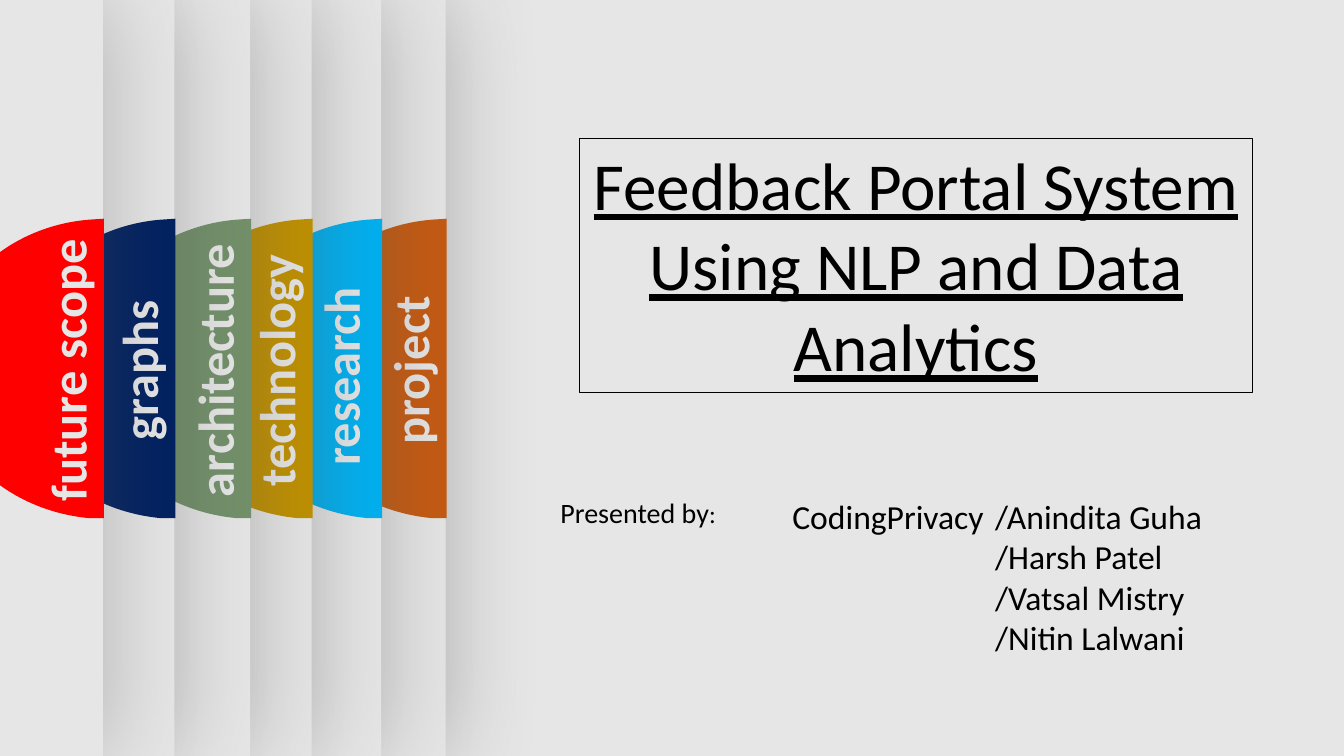
from lxml import etree
from pptx import Presentation
from pptx.dml.color import RGBColor
from pptx.enum import shapes, text
from pptx.oxml.ns import qn
from pptx.util import Inches, Pt

FONT = "Calibri"
BLACK = RGBColor(0x00, 0x00, 0x00)
PALE_GREY = RGBColor(0xE7, 0xE6, 0xE6)
ORANGE = RGBColor(0xC5, 0x5A, 0x11)
SKY_BLUE = RGBColor(0x00, 0xB0, 0xF0)
GOLD = RGBColor(0xBF, 0x90, 0x00)
SAGE = RGBColor(0x72, 0x90, 0x6A)
NAVY = RGBColor(0x00, 0x20, 0x60)
RED = RGBColor(0xFF, 0x00, 0x00)

PANEL_WIDTH = 13.3
SLIDE_HEIGHT = 7.5

# Tab outline, measured from its top right corner: the flat side, then two
# curves of two control points and an end point each
TAB_TOP = 2.17
TAB_FLAT_SIDE = [(0, 0), (0, 2.97), (-0.15, 2.97)]
TAB_CURVES = [(-0.99, 2.89), (-1.65, 2.26), (-1.65, 1.49),
              (-1.65, 0.72), (-0.99, 0.08), (-0.15, 0.01)]

# Label, tab colour, right edge of the panel, left edge of the label box
PANELS = [
    ("project", ORANGE, 4.42, 2.65),
    ("research ", SKY_BLUE, 3.78, 1.96),
    ("technology", GOLD, 3.09, 1.32),
    ("architecture", SAGE, 2.48, 0.71),
    ("graphs", NAVY, 1.73, -0.04),
    ("future scope", RED, 1.02, -0.75),
]


def add_soft_shadow(shape):
    """Cast a wide, blurred shadow to the right of the shape."""
    effects = etree.SubElement(shape._element.spPr, qn("a:effectLst"))
    shadow = etree.SubElement(
        effects, qn("a:outerShdw"), blurRad=str(Pt(70)), dist=str(Pt(3)),
        dir="0", algn="l", rotWithShape="0")
    colour = etree.SubElement(shadow, qn("a:srgbClr"), val="595959")
    etree.SubElement(colour, qn("a:alpha"), val="35000")


def fill_plain(shape, colour):
    shape.fill.solid()
    shape.fill.fore_color.rgb = colour
    shape.line.fill.background()


def write_paragraphs(frame, lines, size, colour=BLACK, align=text.PP_ALIGN.LEFT,
                     bold=False, underline=False):
    frame.auto_size = text.MSO_AUTO_SIZE.SHAPE_TO_FIT_TEXT
    frame.vertical_anchor = text.MSO_ANCHOR.TOP
    frame.text = "\n".join(lines)
    for paragraph in frame.paragraphs:
        paragraph.alignment = align
        paragraph.space_before = Pt(0)
        font = paragraph.font
        font.name, font.size = FONT, Pt(size)
        font.bold, font.underline = bold, underline
        font.color.rgb = colour


def place_in_front(slide, shape, left, top, width, height):
    shape.left, shape.top = Inches(left), Inches(top)
    shape.width, shape.height = Inches(width), Inches(height)
    slide.shapes._spTree.append(shape._element)


def add_text_box(parent, left, top, width, height, wrap=True):
    box = parent.shapes.add_textbox(
        Inches(left), Inches(top), Inches(width), Inches(height))
    box.text_frame.word_wrap = wrap
    return box


def bend_segments(freeform, first):
    """Turn each three straight segments, from index first on, into a curve."""
    lines = list(freeform._element.iter(qn("a:lnTo")))[first:]
    for start in range(0, len(lines), 3):
        curve = etree.Element(qn("a:cubicBezTo"))
        lines[start].addprevious(curve)
        for line in lines[start:start + 3]:
            curve.append(line[0])
            line.getparent().remove(line)


def add_half_round_tab(parent, right, colour):
    points = [(Inches(right + x), Inches(TAB_TOP + y))
              for x, y in TAB_FLAT_SIDE + TAB_CURVES]
    builder = parent.shapes.build_freeform(*points[0])
    builder.add_line_segments(points[1:], close=True)
    tab = builder.convert_to_shape()
    bend_segments(tab, len(TAB_FLAT_SIDE) - 1)
    tab.shadow.inherit = False
    fill_plain(tab, colour)


def add_panel(slide, label, colour, right, label_left):
    group = slide.shapes.add_group_shape()
    panel = group.shapes.add_shape(
        shapes.MSO_SHAPE.RECTANGLE, Inches(right - PANEL_WIDTH), 0,
        Inches(PANEL_WIDTH), Inches(SLIDE_HEIGHT))
    fill_plain(panel, PALE_GREY)
    add_soft_shadow(panel)
    add_half_round_tab(group, right + 0.01, colour)
    box = add_text_box(group, label_left, 3.32, 2.83, 0.71)
    box.rotation = 270
    write_paragraphs(box.text_frame, [label], 36, PALE_GREY,
                     text.PP_ALIGN.CENTER, bold=True)


def add_title(slide):
    title = slide.shapes.title
    place_in_front(slide, title, 5.75, 1.37, 6.67, 2.52)
    title.line.color.rgb = BLACK
    title.line.width = Pt(0.75)
    write_paragraphs(
        title.text_frame,
        ["Feedback Portal System", "Using NLP and Data Analytics"],
        48, align=text.PP_ALIGN.CENTER, underline=True)


def add_presenters(slide):
    caption = add_text_box(slide, 5.46, 4.87, 2.8, 0.44)
    write_paragraphs(caption.text_frame, ["Presented by"], 20)
    colon = caption.text_frame.paragraphs[0].add_run()
    colon.text = ":"
    colon.font.size = Pt(18)

    names = slide.placeholders[1]
    place_in_front(slide, names, 9.77, 4.87, 2.66, 1.72)
    write_paragraphs(
        names.text_frame,
        ["/Anindita Guha", "/Harsh Patel", "/Vatsal Mistry", "/Nitin Lalwani"], 24)

    team = add_text_box(slide, 7.76, 4.87, 2.12, 0.5, wrap=False)
    write_paragraphs(team.text_frame, ["CodingPrivacy"], 24)


def main():
    presentation = Presentation()
    presentation.slide_width = Inches(13.33)
    presentation.slide_height = Inches(SLIDE_HEIGHT)
    slide = presentation.slides.add_slide(presentation.slide_layouts[0])
    slide.background.fill.solid()
    slide.background.fill.fore_color.rgb = PALE_GREY
    for panel in PANELS:
        add_panel(slide, *panel)
    add_title(slide)
    add_presenters(slide)
    presentation.save("out.pptx")


if __name__ == "__main__":
    main()
